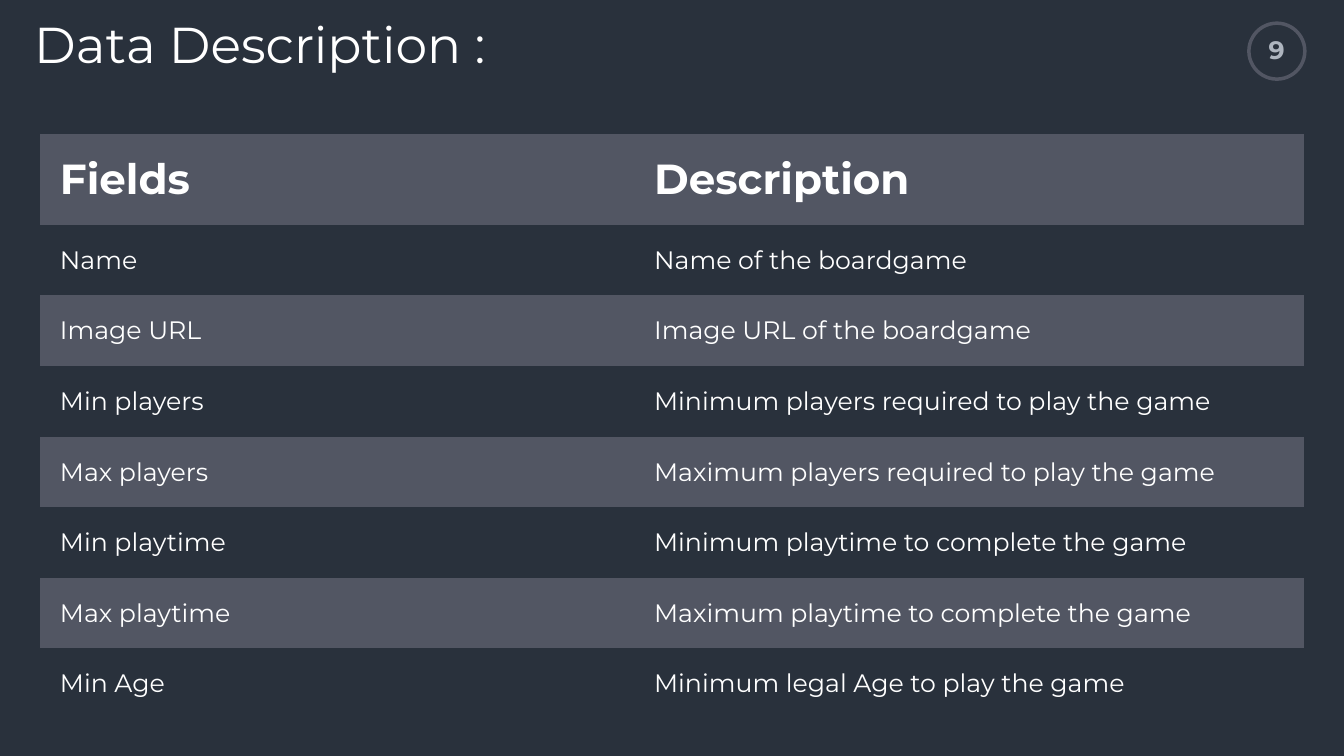
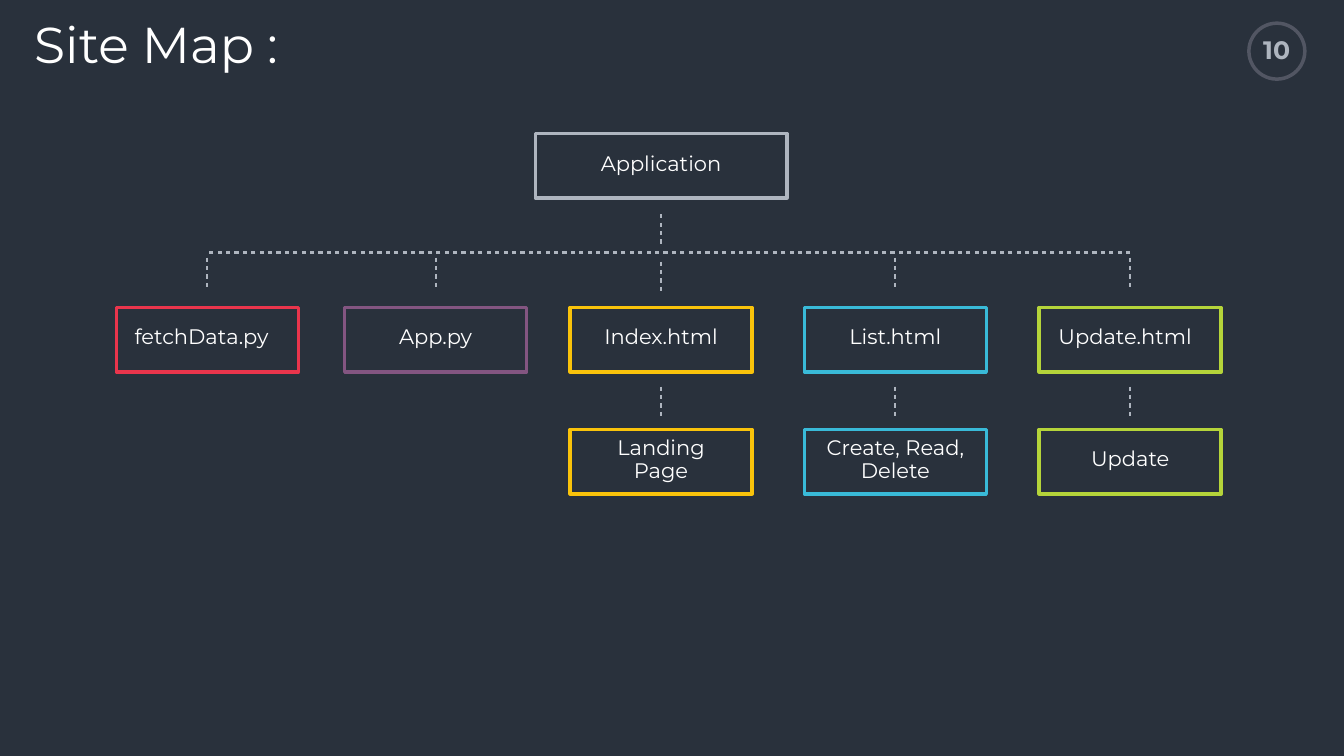
import dataclasses

import lxml.etree
import pptx
import pptx.dml.color
import pptx.enum.shapes
import pptx.enum.text
import pptx.oxml.ns
import pptx.util

COLORS = {
    "background": "29313C",
    "band": "525663",
    "muted": "AEB5BF",
    "text": "FFFFFF",
    "red": "E9354C",
    "purple": "835581",
    "yellow": "F9C30B",
    "blue": "39BAD8",
    "green": "B5D43A",
}
FONT = "Montserrat"

SLIDE_WIDTH = pptx.util.Inches(26.67)
SLIDE_HEIGHT = pptx.util.Inches(15)
COLUMNS, ROWS = 160, 90

NO_TABLE_STYLE = "{2D5ABB26-0587-4C30-8999-92F81FD0307C}"
FIELDS = [
    ("Fields", "Description"),
    ("Name", "Name of the boardgame"),
    ("Image URL", "Image URL of the boardgame"),
    ("Min players", "Minimum players required to play the game"),
    ("Max players", "Maximum players required to play the game"),
    ("Min playtime", "Minimum playtime to complete the game"),
    ("Max playtime", "Maximum playtime to complete the game"),
    ("Min Age", "Minimum legal Age to play the game"),
]

# Site map measures, in grid columns and rows
NODE_WIDTH, NODE_HEIGHT = 21.66, 7.68
ROOT_CENTER, ROOT_TOP, ROOT_WIDTH = 78.7, 15.9, 29.94
FILE_TOP, ACTION_TOP = 36.6, 51.12
TRUNK_ROW = 30.06
DASH_LENGTH = 3.8
LABEL_HEIGHT, LABEL_RISE = 2.76, 0.18


@dataclasses.dataclass(frozen=True)
class Area:
    left: float
    top: float
    width: float
    height: float

    def emu(self) -> tuple[int, int, int, int]:
        return across(self.left), down(self.top), across(self.width), down(self.height)


@dataclasses.dataclass(frozen=True)
class TextStyle:
    size: float
    color: str = "text"
    bold: bool = False
    centered: bool = False
    line_spacing: float | None = None


@dataclasses.dataclass(frozen=True)
class Label:
    text: str
    width: float = 15.06
    height: float = LABEL_HEIGHT
    shift: float = 0


@dataclasses.dataclass(frozen=True)
class Branch:
    center: float
    color: str
    file: Label
    action: Label | None = None
    dash_top: float = 30.66


TITLE = TextStyle(72, line_spacing=0.8)
PAGE_NUMBER = TextStyle(36, "muted", bold=True, centered=True)
TABLE_HEAD = TextStyle(60, bold=True)
TABLE_BODY = TextStyle(36)
NODE_TEXT = TextStyle(30, centered=True, line_spacing=0.9)

BRANCHES = [
    Branch(24.69, "red", Label("fetchData.py", 16.62, shift=-0.7)),
    Branch(51.87, "purple", Label("App.py")),
    Branch(ROOT_CENTER, "yellow", Label("Index.html"), Label("Landing Page"), 31.14),
    Branch(106.59, "blue", Label("List.html"), Label("Create, Read, Delete", 18.96, 5.46)),
    Branch(134.55, "green", Label("Update.html", 16.2, shift=-0.6), Label("Update")),
]


def across(columns: float) -> int:
    return round(SLIDE_WIDTH * columns / COLUMNS)


def down(rows: float) -> int:
    return round(SLIDE_HEIGHT * rows / ROWS)


def rgb(name: str) -> pptx.dml.color.RGBColor:
    return pptx.dml.color.RGBColor.from_string(COLORS[name])


def write(frame, text: str, style: TextStyle) -> None:
    para = frame.paragraphs[0]
    if style.centered:
        para.alignment = pptx.enum.text.PP_ALIGN.CENTER
    if style.line_spacing:
        para.line_spacing = style.line_spacing
    span = para.add_run()
    span.text = text
    span.font.name = FONT
    span.font.size = pptx.util.Pt(style.size)
    span.font.bold = style.bold
    span.font.color.rgb = rgb(style.color)


def add_text(page, area: Area, text: str, style: TextStyle,
             inset: float = 0, wrap: bool = True) -> None:
    frame = page.shapes.add_textbox(*area.emu()).text_frame
    frame.word_wrap = wrap
    frame.auto_size = pptx.enum.text.MSO_AUTO_SIZE.SHAPE_TO_FIT_TEXT
    frame.vertical_anchor = pptx.enum.text.MSO_ANCHOR.MIDDLE
    frame.margin_left = frame.margin_right = across(inset)
    frame.margin_top = frame.margin_bottom = down(inset)
    write(frame, text, style)


def add_outline(page, kind, area: Area, color: str) -> None:
    shape = page.shapes.add_shape(kind, *area.emu())
    shape.shadow.inherit = False
    shape.fill.background()
    shape.line.color.rgb = rgb(color)
    shape.line.width = pptx.util.Pt(5)


def add_dashed_line(page, start: tuple[float, float], end: tuple[float, float]) -> None:
    line = page.shapes.add_connector(
        pptx.enum.shapes.MSO_CONNECTOR.STRAIGHT,
        across(start[0]), down(start[1]), across(end[0]), down(end[1]))
    line.line.color.rgb = rgb("muted")
    line.line.width = pptx.util.Pt(3)
    qn = pptx.oxml.ns.qn
    properties = line.element.spPr
    dashes = lxml.etree.SubElement(properties.find(qn("a:ln")), qn("a:custDash"))
    lxml.etree.SubElement(dashes, qn("a:ds"), d="200000", sp="200000")
    lxml.etree.SubElement(properties, qn("a:effectLst"))


def add_drop(page, center: float, top: float) -> None:
    """Draw a short vertical dashed line."""
    add_dashed_line(page, (center, top), (center, top + DASH_LENGTH))


def add_node(page, center: float, top: float, color: str, label: Label,
             width: float = NODE_WIDTH) -> None:
    middle = top + NODE_HEIGHT / 2 - LABEL_RISE
    add_text(page, Area(center + label.shift - label.width / 2, middle - label.height / 2,
                        label.width, label.height), label.text, NODE_TEXT)
    add_outline(page, pptx.enum.shapes.MSO_SHAPE.RECTANGLE,
                Area(center - width / 2, top, width, NODE_HEIGHT), color)


def add_page(deck, title: str, title_width: float, number: int):
    """Add a page with background, numbered badge and title."""
    page = deck.slides.add_slide(deck.slide_layouts[6])
    page.background.fill.solid()
    page.background.fill.fore_color.rgb = rgb("background")
    add_outline(page, pptx.enum.shapes.MSO_SHAPE.OVAL, Area(148.68, 2.76, 6.66, 6.66), "band")
    add_text(page, Area(149.94, 3.72, 4.08, 4.26), str(number), PAGE_NUMBER, 0.36, False)
    add_text(page, Area(4.08, 2.76, title_width, 6.06), title, TITLE)
    return page


def add_field_table(page) -> None:
    widths, row_height = (70.74, 79.8), 8.4
    area = Area(4.74, 15.96, sum(widths), row_height * len(FIELDS))
    holder = page.shapes.add_table(len(FIELDS), len(widths), *area.emu())
    table = holder.table
    table.first_row = table.horz_banding = False
    for style_id in holder.element.iter(pptx.oxml.ns.qn("a:tableStyleId")):
        style_id.text = NO_TABLE_STYLE
    for column, width in zip(table.columns, widths):
        column.width = across(width)
    for index, texts in enumerate(FIELDS):
        table.rows[index].height = down(row_height)
        for cell, text in zip(table.rows[index].cells, texts):
            cell.margin_left = cell.margin_right = across(2.4)
            cell.margin_top = cell.margin_bottom = down(2.4)
            cell.vertical_anchor = pptx.enum.text.MSO_ANCHOR.MIDDLE
            if index % 2 == 0:
                cell.fill.solid()
                cell.fill.fore_color.rgb = rgb("band")
            else:
                cell.fill.background()
            write(cell.text_frame, text, TABLE_BODY if index else TABLE_HEAD)


def add_site_map(page) -> None:
    add_node(page, ROOT_CENTER, ROOT_TOP, "muted", Label("Application", 25.74), ROOT_WIDTH)
    add_drop(page, ROOT_CENTER, 25.5)
    add_dashed_line(page, (BRANCHES[-1].center, TRUNK_ROW), (BRANCHES[0].center, TRUNK_ROW))
    for branch in BRANCHES:
        add_node(page, branch.center, FILE_TOP, branch.color, branch.file)
        add_drop(page, branch.center, branch.dash_top)
        if branch.action:
            add_node(page, branch.center, ACTION_TOP, branch.color, branch.action)
            add_drop(page, branch.center, 46.02)


def main() -> None:
    deck = pptx.Presentation()
    deck.slide_width, deck.slide_height = SLIDE_WIDTH, SLIDE_HEIGHT
    add_field_table(add_page(deck, "Data Description :", 74.64, 9))
    add_site_map(add_page(deck, "Site Map :", 87.48, 10))
    deck.save("out.pptx")


if __name__ == "__main__":
    main()
